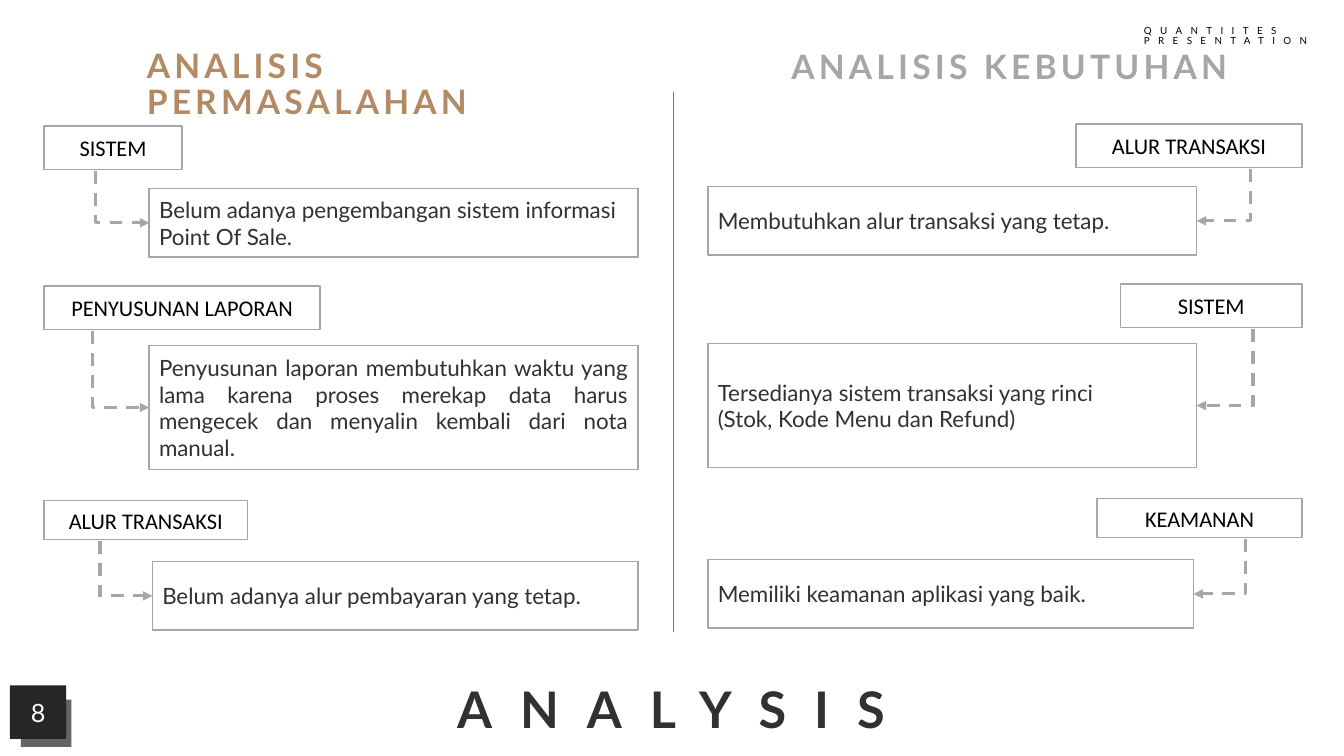
"""Build the analysis slide that sets problems beside requirements."""
from lxml import etree
from pptx import Presentation
from pptx import util as u
from pptx.dml.color import RGBColor
from pptx.enum import dml, shapes, text
from pptx.oxml.ns import qn

COLORS = {"ink": "313131", "black": "000000", "gray": "A6A6A6", "tan": "B28A63",
          "dark": "262626", "rule": "0D0D0D", "white": "FFFFFF"}
ALIGN = text.PP_ALIGN
MIRROR = 33.92


class Slide:
    """Holds the style and the current slide."""

    def __init__(self, deck):
        self.slide = deck.slides.add_slide(deck.slide_layouts[6])
        self.body, self.caption = "Lato", "Calibri"

    def paint(self, fill, color):
        fill.solid()
        fill.fore_color.rgb = RGBColor.from_string(COLORS[color])

    def fade(self, shape, alpha):
        hue = shape._element.spPr.find(".//" + qn("a:srgbClr"))
        etree.SubElement(hue, qn("a:alpha"), val=str(alpha * 1000))

    def set_text(self, frame, words, size, color, font=None, align=ALIGN.LEFT,
                 bold=False, tracking=0, leading=None, before=0, wrap=True):
        frame.word_wrap = wrap
        frame.text = words
        for paragraph in frame.paragraphs:
            paragraph.alignment = align
            paragraph.line_spacing = leading
            paragraph.space_before = u.Pt(before)
            paragraph.font.name = font or self.body
            paragraph.font.size = u.Pt(size)
            paragraph.font.bold = bold
            paragraph.font.color.rgb = RGBColor.from_string(COLORS[color])
            if tracking:
                for run in paragraph.runs:
                    run._r.get_or_add_rPr().set("spc", str(tracking * 100))

    def text(self, place, words, size, color, middle=False, **style):
        frame = self.slide.shapes.add_textbox(*map(u.Cm, place)).text_frame
        if middle:
            frame.vertical_anchor = text.MSO_ANCHOR.MIDDLE
        self.set_text(frame, words, size, color, **style)

    def rect(self, place):
        rect = self.slide.shapes.add_shape(shapes.MSO_SHAPE.RECTANGLE, *map(u.Cm, place))
        rect.shadow.inherit = False
        return rect

    def block(self, place, color, alpha=100):
        block = self.rect(place)
        self.paint(block.fill, color)
        self.fade(block, alpha)
        block.line.fill.background()

    def frame(self, place, words, color, **style):
        frame = self.rect(place)
        frame.fill.background()
        frame.line.width = u.Pt(1)
        self.paint(frame.line.fill, "gray")
        frame.text_frame.vertical_anchor = text.MSO_ANCHOR.MIDDLE
        self.set_text(frame.text_frame, words, 16, color, **style)

    def connector(self, kind, ends, color, width, alpha=100):
        connector = self.slide.shapes.add_connector(kind, *map(u.Cm, ends))
        connector.line.width = u.Pt(width)
        self.paint(connector.line.fill, color)
        self.fade(connector, alpha)
        etree.SubElement(connector._element.spPr, qn("a:effectLst"))
        return connector

    def arrow(self, ends):
        arrow = self.connector(shapes.MSO_CONNECTOR.ELBOW, ends, "gray", 2.25)
        arrow.line.dash_style = dml.MSO_LINE.DASH
        properties = arrow._element.spPr
        etree.SubElement(properties.find(qn("a:ln")), qn("a:tailEnd"), type="triangle")
        guides = properties.find(qn("a:prstGeom")).find(qn("a:avLst"))
        etree.SubElement(guides, qn("a:gd"), name="adj1", fmla="val 0")


deck = Presentation()
deck.slide_width, deck.slide_height = u.Cm(33.87), u.Cm(19.05)
page = Slide(deck)

page.text((28.58, 0.53, 4.9, 0.76), "QUANTIITES PRESENTATION", 7, "black",
          tracking=6, leading=0.9, before=10)
page.text((11.1, 16.2, 11.63, 2.54), "ANALYSIS", 36, "ink", middle=True, bold=True,
          align=ALIGN.CENTER, tracking=20, leading=1.5, before=10)
page.connector(shapes.MSO_CONNECTOR.STRAIGHT, (16.97, 2.31, 16.97, 15.93), "rule", 0.5, 85)

headings = [(3.45, 1.12, "ANALISIS PERMASALAHAN", "tan", ALIGN.LEFT),
            (19.23, 1.14, "ANALISIS KEBUTUHAN", "gray", ALIGN.CENTER)]
for left, top, title, color, align in headings:
    page.text((left, top, 12.42, 1.19), title, 24, color, bold=True, align=align,
              tracking=3, leading=0.9, before=10)

rows = [(3.18, 1.09, 3.76, 4.75, 1.73, 2.4, ALIGN.LEFT),
        (7.21, 1.09, 3.76, 8.71, 3.12, 2.34, ALIGN.JUSTIFY),
        (12.62, 0.97, 3.84, 14.15, 1.73, 2.52, ALIGN.LEFT)]
problems = [
    ("SISTEM", 3.48, "Belum adanya pengembangan sistem informasi Point Of Sale."),
    ("PENYUSUNAN LAPORAN", 6.96, "Penyusunan laporan membutuhkan waktu yang lama karena proses "
     "merekap data harus mengecek dan menyalin kembali dari nota manual."),
    ("ALUR TRANSAKSI", 5.13, "Belum adanya alur pembayaran yang tetap.")]
needs = [
    ("ALUR TRANSAKSI", 5.69, "Membutuhkan alur transaksi yang tetap."),
    ("SISTEM", 4.57, "Tersedianya sistem transaksi yang rinci\n(Stok, Kode Menu dan Refund)"),
    ("KEAMANAN", 5.16, "Memiliki keamanan aplikasi yang baik.")]

for topics, mirrored, rise in ((problems, False, 0), (needs, True, 0.05)):
    def across(x, width=0):
        return MIRROR - x - width if mirrored else x

    for row, (topic, topic_width, detail) in zip(rows, topics):
        topic_top, topic_height, detail_left, detail_top, detail_height, stem, align = row
        detail_width = 16.08 - detail_left
        page.frame((across(detail_left, detail_width), detail_top - rise,
                    detail_width, detail_height), detail, "ink", align=align)
        page.frame((across(1.11, topic_width), topic_top - rise, topic_width, topic_height),
                   topic, "black", font=page.caption, align=ALIGN.CENTER)
        page.arrow((across(stem), topic_top + topic_height + 0.05 - rise,
                    across(detail_left), detail_top + detail_height / 2 - rise))

page.block((0.25, 17.27, 1.42, 1.35), "dark")
page.block((0.53, 17.63, 1.27, 1.19), "dark", 71)
page.text((0.53, 17.45, 0.79, 1.02), "8", 18, "white", wrap=False)

deck.save("out.pptx")
